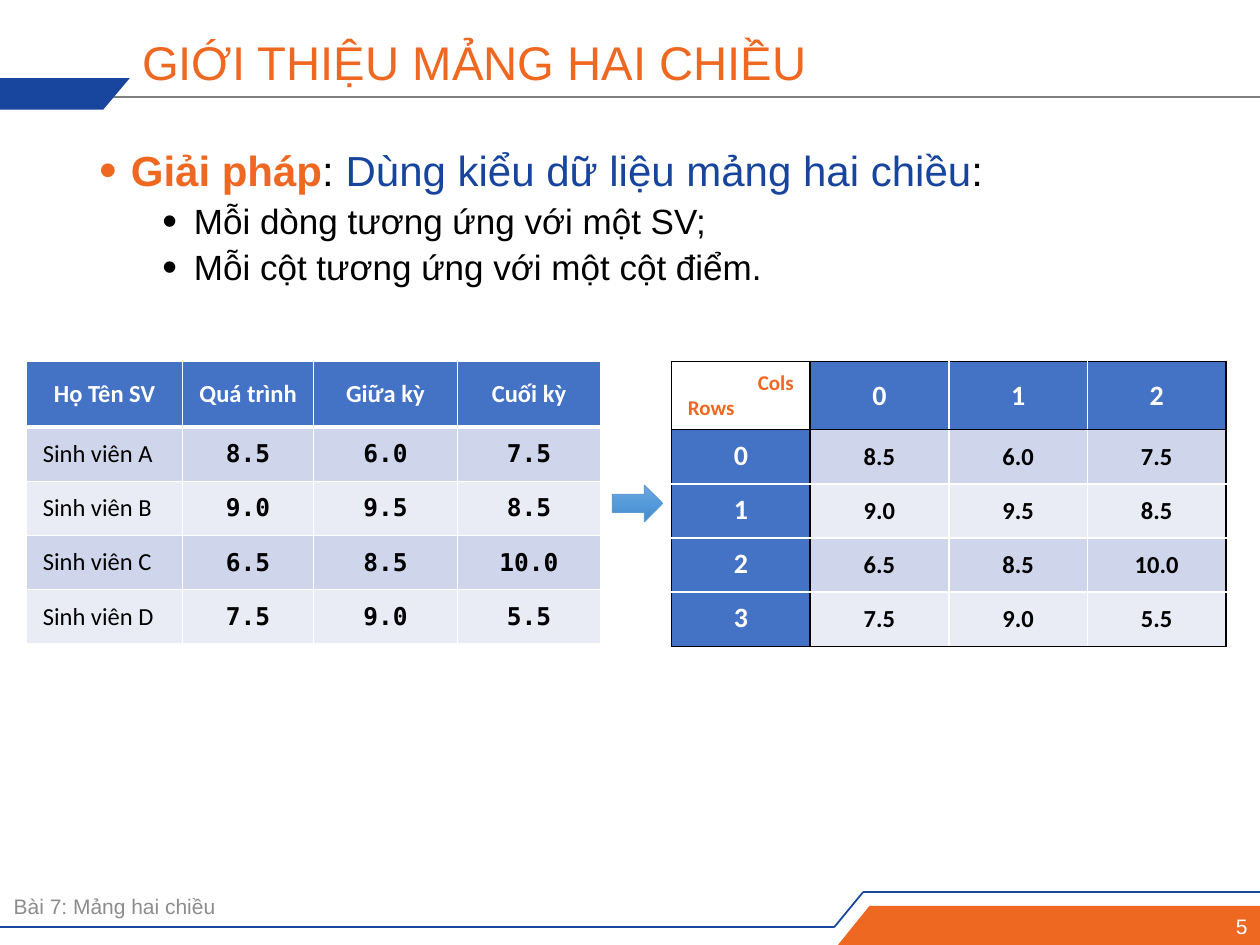
from copy import deepcopy
from dataclasses import dataclass
from typing import Callable

from lxml import etree
from pptx import Presentation
from pptx.dml.color import RGBColor
from pptx.enum.shapes import MSO_CONNECTOR, MSO_SHAPE
from pptx.enum.text import MSO_ANCHOR, PP_ALIGN
from pptx.oxml.ns import qn
from pptx.util import Inches, Pt


@dataclass(frozen=True)
class Theme:
    orange: str = "EF6822"
    blue: str = "18459E"
    link: str = "17459E"
    head: str = "4472C4"
    bands: tuple = ("CFD5EA", "E9EBF5")
    black: str = "000000"
    white: str = "FFFFFF"
    gray: str = "8C8C8C"
    rule: str = "7F7F7F"
    arrow: tuple = ("71A6DB", "559BDB", "448ACA")
    edge: str = "5B9BD5"
    sans: str = "Arial"
    grid: str = "Calibri"
    mono: str = "DejaVu Sans Mono"
    title: int = 27
    lead: int = 24
    item: int = 20
    index: int = 16
    cell: int = 14
    small: int = 12


@dataclass(frozen=True)
class Rule:
    start: tuple
    end: tuple
    color: str


@dataclass(frozen=True)
class Grid:
    left: float
    top: float
    cols: list
    rows: list
    edges: Callable


T = Theme()
MID, RIGHT = PP_ALIGN.CENTER, PP_ALIGN.RIGHT


def rgb(color: str) -> RGBColor:
    return RGBColor.from_string(color)


def write(par, text: str, *, size: int, color: str = T.black, font: str = T.sans,
          bold: bool = False, align=None) -> None:
    """Add one run of text to a paragraph."""
    if align is not None:
        par.alignment = align
    run = par.add_run()
    run.text = text
    run.font.size, run.font.name, run.font.bold = Pt(size), font, bold
    run.font.color.rgb = rgb(color)


def add_box(slide, left, top, width, height, anchor=MSO_ANCHOR.MIDDLE):
    box = slide.shapes.add_textbox(*map(Inches, (left, top, width, height)))
    frame = box.text_frame
    frame.word_wrap, frame.vertical_anchor = True, anchor
    return frame


def add_rule(slide, rule: Rule) -> None:
    line = slide.shapes.add_connector(
        MSO_CONNECTOR.STRAIGHT, *map(Inches, rule.start + rule.end))
    line.line.color.rgb, line.line.width = rgb(rule.color), Pt(1)
    etree.SubElement(line.element.spPr, qn("a:effectLst"))


def add_flag(slide, points: list, color: str) -> None:
    first, *rest = [(Inches(x), Inches(y)) for x, y in points]
    build = slide.shapes.build_freeform(*first)
    build.add_line_segments(rest, close=True)
    shape = build.convert_to_shape()
    shape.shadow.inherit = False
    shape.fill.solid()
    shape.fill.fore_color.rgb = rgb(color)
    shape.line.fill.background()


def add_bullet(par, indent: float) -> None:
    props = par._p.get_or_add_pPr()
    props.set("marL", str(Inches(indent)))
    props.set("indent", str(Inches(-0.25)))
    etree.SubElement(props, qn("a:buSzPct"), val="120000")
    etree.SubElement(props, qn("a:buFont"), typeface=T.sans)
    etree.SubElement(props, qn("a:buChar"), char="•")
    par.line_spacing = 0.9
    par.alignment = PP_ALIGN.JUSTIFY


def add_edges(cell, edges: dict) -> None:
    props = cell._tc.get_or_add_tcPr()
    for side in "LRTB":
        color, width = edges[side]
        line = etree.SubElement(props, qn(f"a:ln{side}"), w=str(Pt(width)))
        fill = etree.SubElement(line, qn("a:solidFill"))
        etree.SubElement(fill, qn("a:srgbClr"), val=color)


def add_grid(slide, grid: Grid):
    """Draw an empty table whose rows are banded below the header."""
    size = (grid.left, grid.top, sum(grid.cols), sum(grid.rows))
    table = slide.shapes.add_table(
        len(grid.rows), len(grid.cols), *map(Inches, size)).table
    table.first_row = table.horz_banding = False
    for col, width in zip(table.columns, grid.cols):
        col.width = Inches(width)
    for r, (row, height) in enumerate(zip(table.rows, grid.rows)):
        row.height = Inches(height)
        for c, cell in enumerate(row.cells):
            cell.margin_left = cell.margin_right = Inches(0.13)
            cell.margin_top = cell.margin_bottom = Inches(0.07)
            cell.vertical_anchor = MSO_ANCHOR.MIDDLE
            add_edges(cell, grid.edges(r, c))
            cell.fill.solid()
            cell.fill.fore_color.rgb = rgb(T.bands[(r - 1) % 2] if r else T.head)
    return table


def plain_edges(r: int, c: int) -> dict:
    return {s: (T.white, 3 if s == "B" and r == 0 else 1) for s in "LRTB"}


def framed_edges(r: int, c: int) -> dict:
    dark = {"L": c <= 1, "R": c in (0, 3), "T": r <= 1, "B": r in (0, 4)}
    return {s: (T.black if on else T.white, 1) for s, on in dark.items()}


def add_scores(slide, heads: list, names: list, marks: list) -> None:
    table = add_grid(slide, Grid(0.21, 2.87, [1.24, 1.04, 1.14, 1.14],
                                 [0.52] + [0.43] * 4, plain_edges))
    look = {"size": T.cell, "font": T.grid}
    for c, head in enumerate(heads):
        write(table.cell(0, c).text_frame.paragraphs[0], head,
              color=T.white, bold=True, align=MID, **look)
    for r, (name, row) in enumerate(zip(names, marks), 1):
        write(table.cell(r, 0).text_frame.paragraphs[0], name, **look)
        for c, mark in enumerate(row, 1):
            write(table.cell(r, c).text_frame.paragraphs[0], mark,
                  size=T.cell, font=T.mono, bold=True, align=MID)


def add_matrix(slide, marks: list) -> None:
    table = add_grid(slide, Grid(5.33, 2.87, [1.1] * 4,
                                 [0.54] + [0.43] * 4, framed_edges))
    look = {"font": T.grid, "bold": True}
    # Corner cell naming both axes
    corner = table.cell(0, 0)
    corner.fill.background()
    frame = corner.text_frame
    write(frame.paragraphs[0], "Cols", size=T.small, color=T.orange, align=RIGHT, **look)
    write(frame.add_paragraph(), "Rows", size=T.small, color=T.orange, **look)
    # Index cells, then marks
    index = {"size": T.index, "color": T.white, "align": MID, **look}
    for c in range(3):
        write(table.cell(0, c + 1).text_frame.paragraphs[0], str(c), **index)
    for r, row in enumerate(marks):
        side = table.cell(r + 1, 0)
        side.fill.fore_color.rgb = rgb(T.head)
        side.vertical_anchor = MSO_ANCHOR.TOP
        write(side.text_frame.paragraphs[0], str(r), **index)
        for c, mark in enumerate(row, 1):
            write(table.cell(r + 1, c).text_frame.paragraphs[0], mark,
                  size=T.cell, align=MID, **look)


def add_arrow(slide) -> None:
    arrow = slide.shapes.add_shape(
        MSO_SHAPE.RIGHT_ARROW, *map(Inches, (4.86, 3.85, 0.4, 0.29)))
    arrow.shadow.inherit = False
    arrow.fill.gradient()
    arrow.fill.gradient_angle = 270
    stops = arrow.element.spPr.find(".//" + qn("a:gsLst"))
    stops.insert(1, deepcopy(stops[0]))
    for stop, color, spot in zip(arrow.fill.gradient_stops, T.arrow, (0, 0.5, 1)):
        stop.color.rgb, stop.position = rgb(color), spot
    arrow.line.color.rgb, arrow.line.width = rgb(T.edge), Pt(0.5)


def main() -> None:
    deck = Presentation()
    deck.slide_width, deck.slide_height = Inches(10), Inches(7.5)
    slide = deck.slides.add_slide(deck.slide_layouts[6])

    # Header and footer bands
    bend = [(0, 7.36), (6.62, 7.36), (6.85, 7.08), (10, 7.08)]
    add_rule(slide, Rule((0.72, 0.77), (10, 0.77), T.rule))
    add_flag(slide, [(0, 0.62), (1.03, 0.62), (0.82, 0.87), (0, 0.87)], T.blue)
    for start, end in zip(bend, bend[1:]):
        add_rule(slide, Rule(start, end, T.blue))
    add_flag(slide, [(6.9, 7.19), (10, 7.19), (10, 7.5), (6.65, 7.5)], T.orange)

    # Title
    par = add_box(slide, 1.03, 0.25, 8.28, 0.53).paragraphs[0]
    par.line_spacing = 0.9
    write(par, "GIỚI THIỆU MẢNG HAI CHIỀU", size=T.title, color=T.orange)

    # Body
    body = add_box(slide, 0.69, 1.14, 8.62, 5.61, MSO_ANCHOR.TOP)
    lead = body.paragraphs[0]
    add_bullet(lead, 0.25)
    write(lead, "Giải pháp", size=T.lead, color=T.orange, bold=True)
    write(lead, ": ", size=T.lead)
    write(lead, "Dùng kiểu dữ liệu mảng hai chiều", size=T.lead, color=T.link)
    write(lead, ":", size=T.lead)
    for text in ("Mỗi dòng tương ứng với một SV;", "Mỗi cột tương ứng với một cột điểm."):
        par = body.add_paragraph()
        par.level = 1
        add_bullet(par, 0.75)
        par.space_before = Pt(5)
        write(par, text, size=T.item)

    # Tables and the arrow between them
    marks = [["8.5", "6.0", "7.5"], ["9.0", "9.5", "8.5"],
             ["6.5", "8.5", "10.0"], ["7.5", "9.0", "5.5"]]
    add_scores(slide, ["Họ Tên SV", "Quá trình", "Giữa kỳ", "Cuối kỳ"],
               [f"Sinh viên {mark}" for mark in "ABCD"], marks)
    add_matrix(slide, marks)
    add_arrow(slide)

    # Slide number and footer
    write(add_box(slide, 7.91, 7.21, 2.09, 0.28).paragraphs[0], "5",
          size=T.small, color=T.white, align=RIGHT)
    write(add_box(slide, 0.01, 7.04, 6.59, 0.31).paragraphs[0],
          "Bài 7: Mảng hai chiều", size=T.small, color=T.gray)

    deck.save("out.pptx")


if __name__ == "__main__":
    main()
